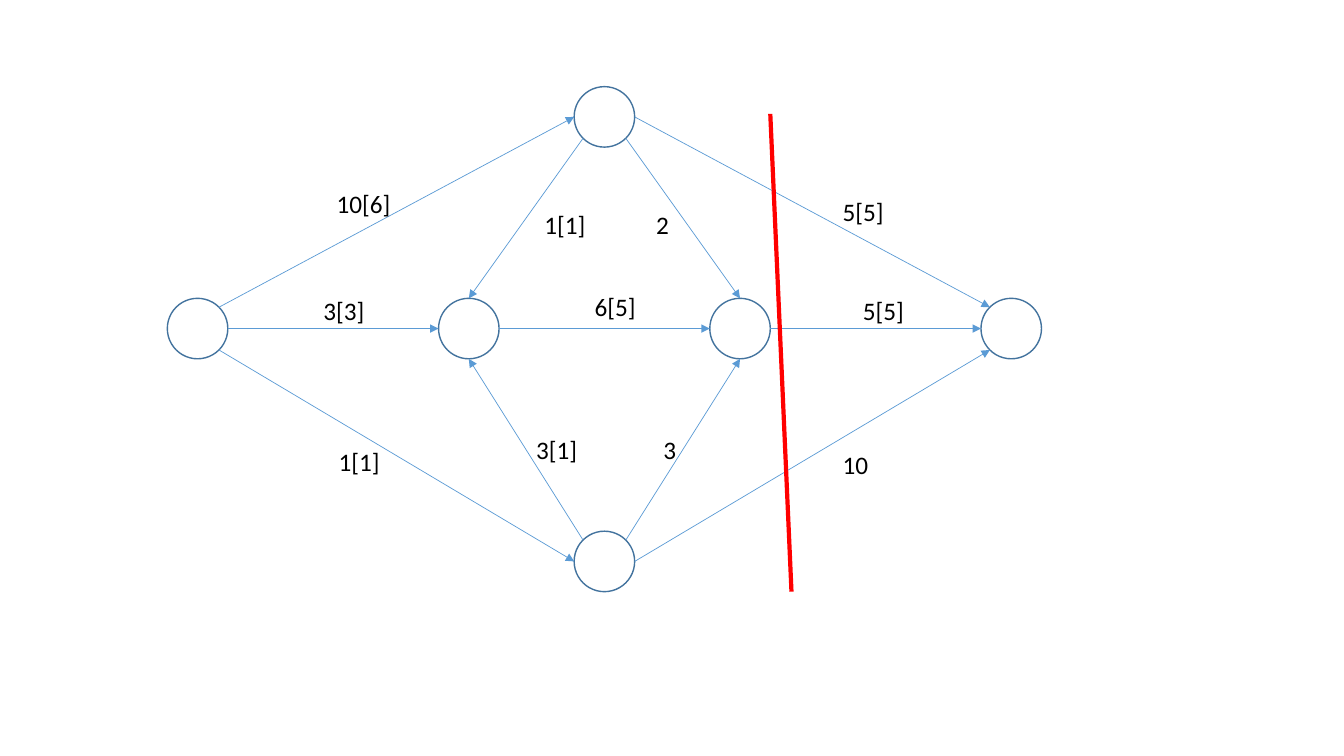
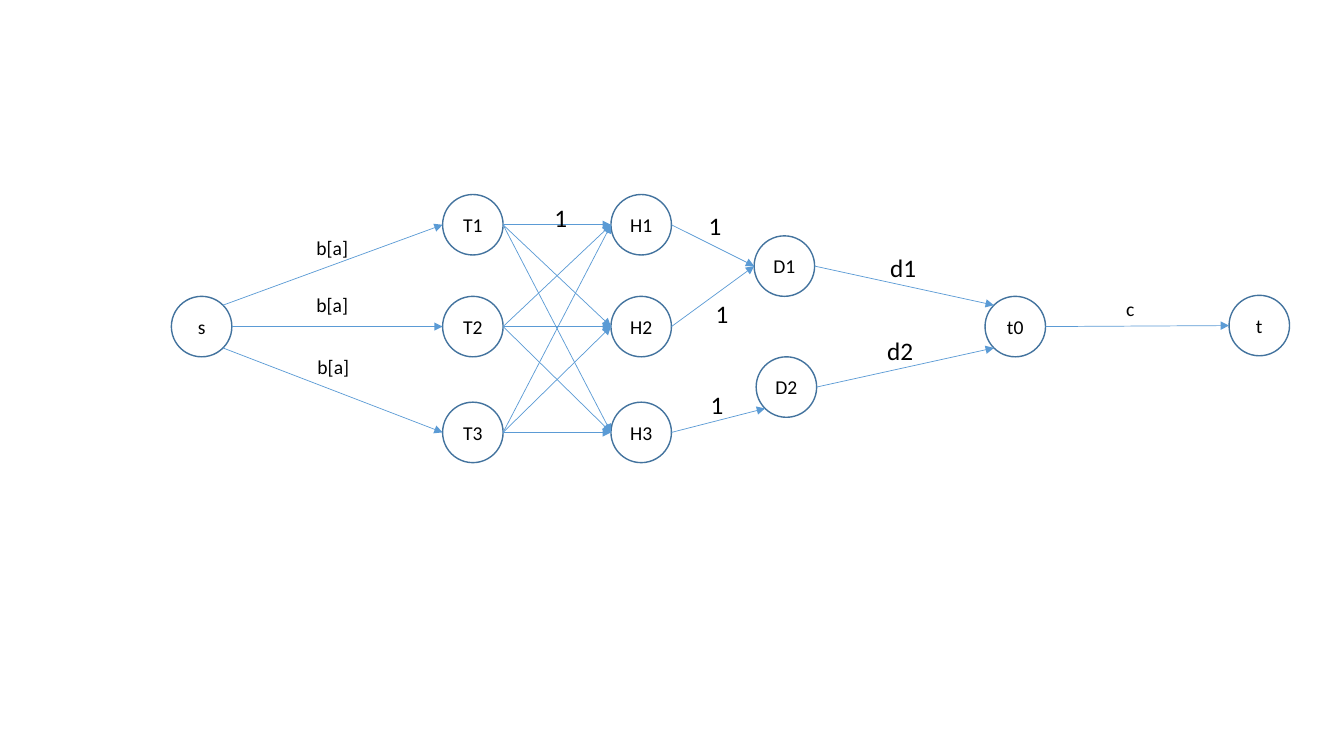
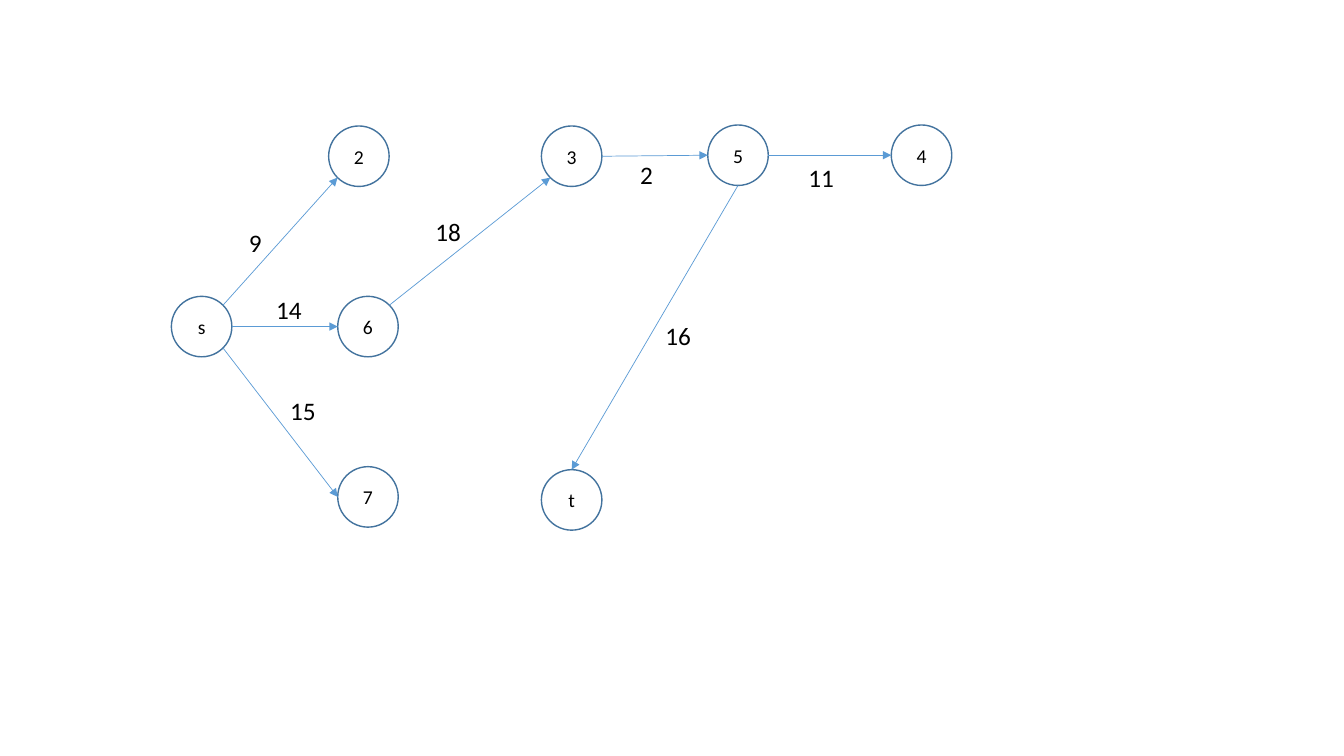
from itertools import product
from math import sqrt

from lxml.etree import SubElement
from pptx import Presentation
from pptx.dml.color import RGBColor
from pptx.enum.shapes import MSO_CONNECTOR as Link, MSO_SHAPE as Preset
from pptx.enum.text import MSO_ANCHOR as Anchor, MSO_AUTO_SIZE as AutoSize, PP_ALIGN as Align
from pptx.oxml.ns import qn
from pptx.util import Inches, Pt

DIAGONAL = sqrt(0.5)
# Side of a circle: connection site, horizontal and vertical direction
SIDES = {
    "N": (0, 0, -1), "NW": (1, -DIAGONAL, -DIAGONAL),
    "W": (2, -1, 0), "SW": (3, -DIAGONAL, DIAGONAL),
    "S": (4, 0, 1), "SE": (5, DIAGONAL, DIAGONAL),
    "E": (6, 1, 0), "NE": (7, DIAGONAL, -DIAGONAL),
}


def color(value):
    return RGBColor.from_string(value)


def grid(cells):
    """Length of a number of grid cells, three to the inch."""
    return Inches(cells / 3)


class GraphDeck:
    FONT, INK = "Calibri", "000000"
    RING, ARROW, CUT = "43739E", "5B9BD5", "FF0000"
    RADIUS = 0.9

    def __init__(self):
        self.deck = Presentation()
        self.deck.slide_width, self.deck.slide_height = Inches(13.33), Inches(7.5)

    def new_slide(self):
        self.shapes = self.deck.slides.add_slide(self.deck.slide_layouts[6]).shapes
        self.nodes = {}

    def set_text(self, frame, text, size):
        frame.text = text
        paragraph = frame.paragraphs[0]
        paragraph.font.name, paragraph.font.size = self.FONT, Pt(size)
        paragraph.font.color.rgb = color(self.INK)
        return paragraph

    def node(self, key, x, y, text=""):
        """Circle centred on a grid point."""
        size = grid(2 * self.RADIUS)
        circle = self.shapes.add_shape(
            Preset.OVAL, grid(x - self.RADIUS), grid(y - self.RADIUS), size, size)
        circle.shadow.inherit = False
        circle.fill.background()
        circle.line.color.rgb, circle.line.width = color(self.RING), Pt(1)
        frame = circle.text_frame
        frame.margin_left = frame.margin_right = 0
        frame.vertical_anchor = Anchor.MIDDLE
        self.set_text(frame, text, 14).alignment = Align.CENTER
        self.nodes[key] = (circle.shape_id, x, y)

    def line(self, start, end, stroke, width):
        """Straight line; returns its element."""
        ends = [grid(length) for length in (*start, *end)]
        connector = self.shapes.add_connector(Link.STRAIGHT, *ends)
        connector.line.color.rgb, connector.line.width = color(stroke), Pt(width)
        SubElement(connector.element.spPr, qn("a:effectLst"))
        return connector.element

    def port(self, key, side):
        """Node id, connection site and grid point of one side of a node."""
        shape_id, x, y = self.nodes[key]
        site, dx, dy = SIDES[side]
        return shape_id, site, (x + dx * self.RADIUS, y + dy * self.RADIUS)

    def edge(self, source, source_side, target, target_side):
        """Arrow attached to two nodes."""
        ports = self.port(source, source_side), self.port(target, target_side)
        element = self.line(ports[0][2], ports[1][2], self.ARROW, 0.5)
        SubElement(element.spPr.find(qn("a:ln")), qn("a:tailEnd"), type="triangle")
        links = element.find(".//" + qn("p:cNvCxnSpPr"))
        for tag, (shape_id, site, _) in zip(("a:stCxn", "a:endCxn"), ports):
            SubElement(links, qn(tag), id=str(shape_id), idx=str(site))

    def edges(self, *routes):
        for route in routes:
            self.edge(*route.split())

    def label(self, text, x, y, width=1.86, size=18):
        height = 1.2 if size == 18 else 1.01
        box = self.shapes.add_textbox(grid(x), grid(y), grid(width), grid(height))
        box.text_frame.word_wrap = True
        box.text_frame.auto_size = AutoSize.SHAPE_TO_FIT_TEXT
        self.set_text(box.text_frame, text, size)

    def labels(self, *entries):
        for entry in entries:
            self.label(*entry)


graph = GraphDeck()

# Slide 1: flow network with its minimum cut
graph.new_slide()
first_column, column_step, middle_row = 5.88, 8.07, 9.78
for column, key in enumerate(("source", "left", "right", "sink")):
    graph.node(key, first_column + column * column_step, middle_row)
for key, row in (("top", 3.48), ("bottom", 16.71)):
    graph.node(key, first_column + 1.5 * column_step, row)
graph.edges(
    "source NE top W", "source E left W", "source SE bottom W",
    "bottom NW left S", "top SW left N", "left E right W", "right E sink W",
    "top E sink NW", "bottom E sink SW", "bottom NE right S", "top SE right N")
graph.labels(
    ("10", 24.78, 13.23, 2.82), ("3[3]", 9.33, 8.64, 2.13),
    ("1[1]", 9.78, 13.14, 2.82), ("6[5]", 17.4, 8.52, 2.49),
    ("3[1]", 15.66, 12.78, 1.95), ("3", 19.44, 12.78, 1.44),
    ("2", 19.23, 6.09, 2.31), ("1[1]", 15.9, 6.09, 2.07),
    ("10[6]", 9.72, 5.46, 2.28), ("5[5]", 24.78, 5.7, 2.82),
    ("5[5]", 25.38, 8.64, 2.01))
graph.line((22.92, 3.39), (23.55, 17.61), graph.CUT, 3)

# Slide 2: layered assignment network
graph.new_slide()
layer_rows = (6.69, 9.72, 12.87)
for (layer, x), (number, y) in product((("T", 14.07), ("H", 19.08)), enumerate(layer_rows, 1)):
    graph.node(f"{layer}{number}", x, y, f"{layer}{number}")
for key, x, y in (("s", 6, 9.72), ("D1", 23.34, 7.92), ("D2", 23.4, 11.52),
                  ("t0", 30.21, 9.72), ("t", 37.47, 9.69)):
    graph.node(key, x, y, key)
graph.edges("s NE T1 W", "s E T2 W", "s SE T3 W")
for left, right in product((1, 2, 3), repeat=2):
    graph.edge(f"T{left}", "E", f"H{right}", "W")
graph.edges("H1 E D1 W", "H2 E D1 W", "H3 E D2 SW",
            "D1 E t0 NW", "D2 E t0 SW", "t0 E t W")
graph.labels(
    ("b[a]", 9.12, 6.87, 1.8, 14), ("b[a]", 9.12, 8.58, 1.8, 14),
    ("b[a]", 9.15, 10.41, 1.74, 14), ("c", 33.21, 8.7, 1.83, 14),
    ("d1", 26.19, 7.35, 1.47), ("d2", 26.1, 9.84, 1.47),
    ("1", 20.85, 11.43), ("1", 20.79, 6.12), ("1", 21, 8.73), ("1", 16.2, 5.88))

# Slide 3: shortest path tree
graph.new_slide()
for key, x, y in (("s", 6, 9.72), ("2", 10.68, 4.65), ("6", 10.95, 9.72),
                  ("7", 10.95, 14.79), ("3", 17.01, 4.65), ("5", 21.96, 4.62),
                  ("t", 17.01, 14.88), ("4", 27.42, 4.62)):
    graph.node(key, x, y, key)
graph.edges("3 E 5 W", "5 S t N", "s NE 2 SW", "s E 6 W", "s SE 7 W",
            "5 E 4 W", "6 NE 3 SW")
graph.labels(
    ("9", 7.11, 6.63, 0.84), ("14", 7.92, 8.61), ("15", 8.34, 11.61),
    ("2", 18.75, 4.59), ("11", 23.76, 4.68), ("16", 19.5, 9.39), ("18", 12.66, 6.3))

graph.deck.save("out.pptx")
